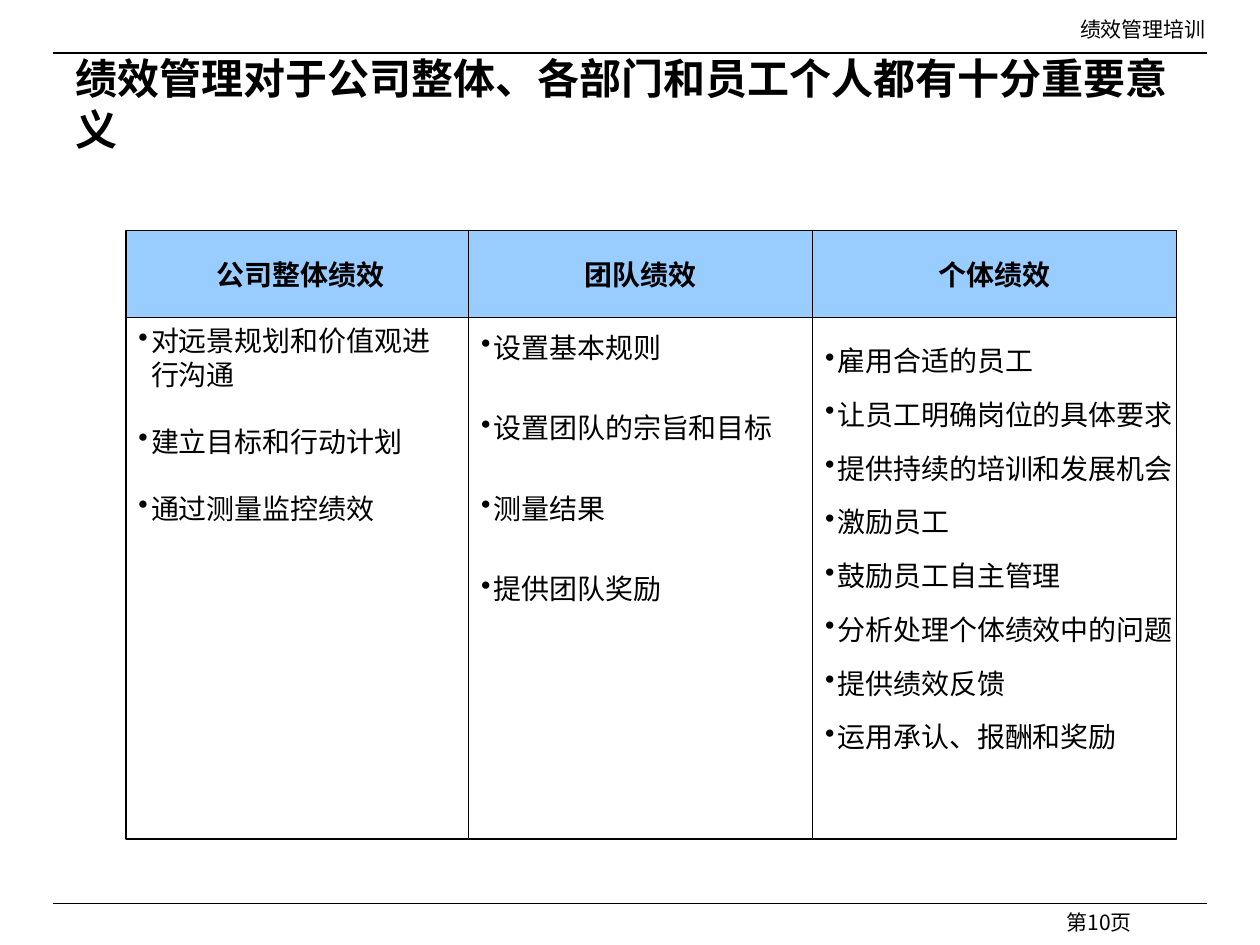
from dataclasses import dataclass

from lxml.etree import SubElement
from pptx import Presentation
from pptx.dml.color import RGBColor
from pptx.enum.shapes import MSO_CONNECTOR, MSO_SHAPE
from pptx.enum.text import MSO_ANCHOR, PP_ALIGN
from pptx.oxml.ns import qn
from pptx.util import Inches, Pt

SANS = "Noto Sans CJK SC"
SERIF = "Times New Roman"
BLACK = "000000"
WHITE = "FFFFFF"
BLUE = "99CCFF"
LINE_HEIGHT = 1.2
HEADING_TOP, BODY_TOP, BODY_BOTTOM = 1.83, 2.52, 6.66


@dataclass
class Label:
    text: str
    left: float
    top: float
    width: float
    height: float
    size: float = 12
    font: str = SANS
    bold: bool = False
    align: PP_ALIGN = PP_ALIGN.RIGHT
    anchor: MSO_ANCHOR = MSO_ANCHOR.TOP


@dataclass
class Column:
    heading: str
    items: list[str]
    left: float
    right: float
    spacing: float = 1
    gap_lines: int = 1
    wrap: bool = True


LABELS = [
    Label("第10页", 7, 7.17, 2.08, 0.17),
    Label("绩效管理培训", 5, 0.08, 4.67, 0.3, font=SERIF),
    Label("绩效管理对于公司整体、各部门和员工个人都有十分重要意义",
          0.5, 0.37, 8.92, 0.9, 24, SERIF, True, PP_ALIGN.LEFT, MSO_ANCHOR.MIDDLE),
]

COLUMNS = [
    Column(" 公司整体绩效",
           ["对远景规划和价值观进行沟通", "建立目标和行动计划", "通过测量监控绩效"],
           1, 3.72),
    Column("团队绩效",
           ["设置基本规则", "设置团队的宗旨和目标", "测量结果", "提供团队奖励"],
           3.72, 6.45, spacing=1.2),
    Column("个体绩效",
           ["雇用合适的员工", "让员工明确岗位的具体要求", "提供持续的培训和发展机会",
            "激励员工", "鼓励员工自主管理", "分析处理个体绩效中的问题",
            "提供绩效反馈", "运用承认、报酬和奖励"],
           6.45, 9.34, spacing=1.6, gap_lines=0, wrap=False),
]


def color(value: str) -> RGBColor:
    return RGBColor.from_string(value)


def add_span(para, text: str, size: float, font: str = SANS, bold: bool = False,
             spacing: float = 1) -> None:
    para.line_spacing = Pt(round(size * LINE_HEIGHT * spacing, 1))
    span = para.add_run()
    span.text = text
    span.font.size = Pt(size)
    span.font.name = font
    span.font.bold = bold
    span.font.color.rgb = color(BLACK)
    SubElement(span.font._element, qn("a:ea")).set("typeface", SANS)


def add_bullet(para) -> None:
    properties = para._p.get_or_add_pPr()
    properties.set("marL", str(Inches(0.1)))
    properties.set("indent", str(Inches(-0.1)))
    bullet_color = SubElement(properties, qn("a:buClr"))
    SubElement(bullet_color, qn("a:srgbClr")).set("val", BLACK)
    SubElement(properties, qn("a:buChar")).set("char", "•")


def add_rule(page, top: float) -> None:
    rule = page.shapes.add_connector(MSO_CONNECTOR.STRAIGHT, Inches(0.42), Inches(top),
                                     Inches(9.58), Inches(top))
    rule.line.color.rgb = color(BLACK)
    rule.line.width = Pt(0.75)
    SubElement(rule._element.spPr, qn("a:effectLst"))


def add_label(page, label: Label) -> None:
    box = page.shapes.add_textbox(Inches(label.left), Inches(label.top),
                                  Inches(label.width), Inches(label.height))
    frame = box.text_frame
    frame.word_wrap = True
    frame.vertical_anchor = label.anchor
    para = frame.paragraphs[0]
    para.alignment = label.align
    add_span(para, label.text, label.size, label.font, label.bold)


def add_panel(page, column: Column, top: float, bottom: float, fill: str):
    box = page.shapes.add_shape(MSO_SHAPE.RECTANGLE, Inches(column.left), Inches(top),
                                Inches(column.right - column.left), Inches(bottom - top))
    box.shadow.inherit = False
    box.fill.solid()
    box.fill.fore_color.rgb = color(fill)
    box.line.color.rgb = color(BLACK)
    box.line.width = Pt(0.75)
    return box.text_frame


def add_column(page, column: Column) -> None:
    heading = add_panel(page, column, HEADING_TOP, BODY_TOP, BLUE)
    heading.word_wrap = False
    heading.vertical_anchor = MSO_ANCHOR.MIDDLE
    heading.paragraphs[0].alignment = PP_ALIGN.CENTER
    add_span(heading.paragraphs[0], column.heading, 16, bold=True)

    body = add_panel(page, column, BODY_TOP, BODY_BOTTOM, WHITE)
    body.word_wrap = column.wrap
    body.vertical_anchor = MSO_ANCHOR.TOP
    for index, item in enumerate(column.items):
        para = body.add_paragraph() if index else body.paragraphs[0]
        para.alignment = PP_ALIGN.LEFT
        add_span(para, item, 16, spacing=column.spacing)
        if index:
            para.space_before = Pt(round(16 * LINE_HEIGHT * column.spacing * column.gap_lines, 1))
        add_bullet(para)


def main() -> None:
    deck = Presentation()
    deck.slide_width = Inches(10)
    deck.slide_height = Inches(7.5)
    page = deck.slides.add_slide(deck.slide_layouts[6])
    for top in (0.42, 7.17):
        add_rule(page, top)
    for column in COLUMNS:
        add_column(page, column)
    for label in LABELS:
        add_label(page, label)
    deck.save("out.pptx")


if __name__ == "__main__":
    main()
